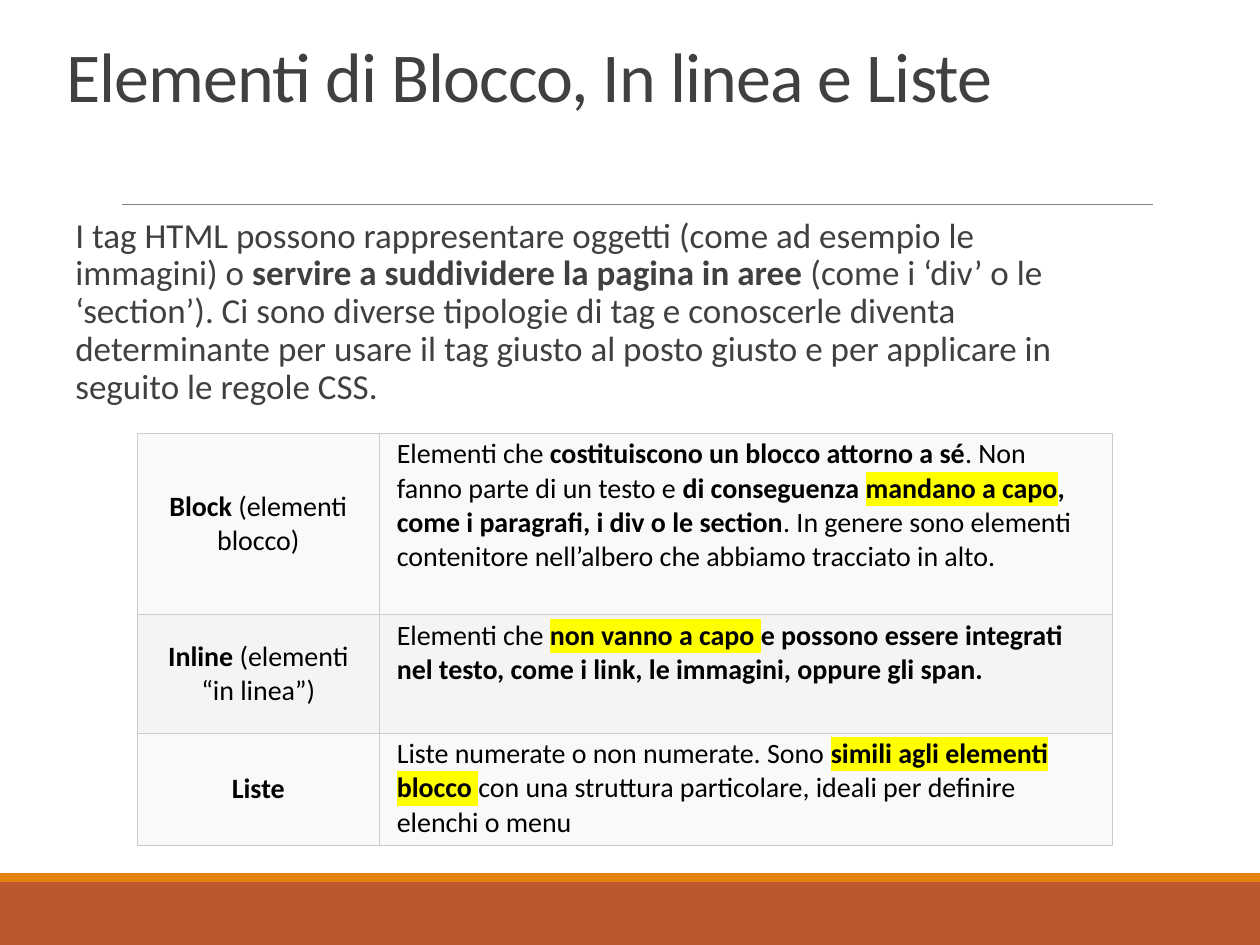
from dataclasses import dataclass

from lxml.etree import SubElement
from pptx import Presentation
from pptx.dml.color import RGBColor
from pptx.enum.shapes import MSO_CONNECTOR, MSO_SHAPE
from pptx.enum.text import MSO_ANCHOR as ANCHOR, PP_ALIGN as ALIGN
from pptx.oxml.ns import qn
from pptx.util import Inches, Pt

FONT = "Calibri"
TEXT = "404040"


@dataclass
class Run:
    text: str
    bold: bool = False
    highlight: bool = False


@dataclass
class Row:
    height: float
    fill: str
    label: list[Run]
    description: list[Run]


BODY = [
    Run("I tag HTML possono rappresentare oggetti (come ad esempio le immagini) o "),
    Run("servire a suddividere la pagina in aree ", True),
    Run("(come i ‘div’ o le ‘section’). Ci sono diverse tipologie di tag e conoscerle "
        "diventa determinante per usare il tag giusto al posto giusto e per applicare "
        "in seguito le regole CSS."),
]

ROWS = [
    Row(1.44, "F9F9F9",
        [Run("Block ", True), Run("(elementi blocco)")],
        [Run("Elementi che "),
         Run("costituiscono un blocco attorno a sé", True),
         Run(". Non fanno parte di un testo e "),
         Run("di conseguenza ", True),
         Run("mandano a capo", True, True),
         Run(", come i paragrafi, i div o le section", True),
         Run(". In genere sono elementi contenitore nell’albero che abbiamo "
             "tracciato in alto.")]),
    Row(0.94, "F4F4F4",
        [Run("Inline ", True), Run("(elementi “in linea”)")],
        [Run("Elementi che "),
         Run("non vanno a capo ", True, True),
         Run("e possono essere integrati nel testo, come i link, le immagini, "
             "oppure gli span.", True)]),
    Row(0.89, "F9F9F9",
        [Run("Liste", True)],
        [Run("Liste numerate o non numerate. Sono "),
         Run("simili agli elementi blocco ", True, True),
         Run("con una struttura particolare, ideali per definire elenchi o menu")]),
]


def rgb(color: str) -> RGBColor:
    return RGBColor.from_string(color)


def add_color(parent, tag: str, color: str) -> None:
    SubElement(SubElement(parent, qn(tag)), qn("a:srgbClr")).set("val", color)


def write(p, runs: list[Run], size: float, color: str) -> None:
    p.font.name, p.font.size = FONT, Pt(size)
    p.font.color.rgb = rgb(color)
    for run in runs:
        r = p.add_run()
        r.text, r.font.bold = run.text, run.bold
        if run.highlight:
            add_color(r.font._element, "a:highlight", "FFFF00")


def add_band(s, top: float, height: float, color: str) -> None:
    sp = s.shapes.add_shape(MSO_SHAPE.RECTANGLE, 0, Inches(top), Inches(10), Inches(height))
    sp.shadow.inherit = False
    sp.fill.solid()
    sp.fill.fore_color.rgb = rgb(color)
    sp.line.fill.background()


def add_rule(s) -> None:
    line = s.shapes.add_connector(
        MSO_CONNECTOR.STRAIGHT, Inches(0.97), Inches(1.62), Inches(9.15), Inches(1.62))
    line.line.color.rgb = rgb("808080")
    line.line.width = Pt(0.5)
    SubElement(line._element.spPr, qn("a:effectLst"))


def add_text(s, left: float, top: float, width: float, height: float,
             runs: list[Run], size: float, spacing: float):
    sp = s.shapes.add_textbox(Inches(left), Inches(top), Inches(width), Inches(height))
    tf = sp.text_frame
    tf.word_wrap = True
    p = tf.paragraphs[0]
    p.line_spacing = spacing
    write(p, runs, size, TEXT)
    return tf


def fill_cell(cell, runs: list[Run], fill: str) -> None:
    """Write a bordered, filled table cell."""
    cell.margin_left = cell.margin_right = Inches(0.14)
    cell.margin_top = cell.margin_bottom = Inches(0.03)
    tc_pr = cell._tc.get_or_add_tcPr()
    for side in ("a:lnL", "a:lnR", "a:lnT", "a:lnB"):
        border = SubElement(tc_pr, qn(side), w=str(Pt(0.75)))
        add_color(border, "a:solidFill", "CCCCCC")
    cell.fill.solid()
    cell.fill.fore_color.rgb = rgb(fill)
    write(cell.text_frame.paragraphs[0], runs, 16, "000000")


def add_tag_table(s) -> None:
    height = sum(row.height for row in ROWS)
    table = s.shapes.add_table(
        len(ROWS), 2, Inches(1.09), Inches(3.44), Inches(7.74), Inches(height)).table
    table.first_row = table.horz_banding = False
    for column, width in zip(table.columns, (1.92, 5.82)):
        column.width = Inches(width)
    for i, row in enumerate(ROWS):
        table.rows[i].height = Inches(row.height)
        label, description = table.cell(i, 0), table.cell(i, 1)
        fill_cell(label, row.label, row.fill)
        fill_cell(description, row.description, row.fill)
        label.vertical_anchor = ANCHOR.MIDDLE
        label.text_frame.paragraphs[0].alignment = ALIGN.CENTER


def main() -> None:
    prs = Presentation()
    prs.slide_width, prs.slide_height = Inches(10), Inches(7.5)
    s = prs.slides.add_slide(prs.slide_layouts[6])

    add_band(s, 7, 0.5, "BD582C")
    add_band(s, 6.93, 0.07, "E48312")
    add_rule(s)

    title = add_text(s, 0.43, 0.31, 9.06, 1.2,
                     [Run("Elementi di Blocco, In linea e Liste")], 40, 0.85)
    title.paragraphs[0].runs[0].font._element.set("spc", "-50")

    body = add_text(s, 0.5, 1.68, 8.33, 2.15, BODY, 20, 0.9)
    body.margin_right = 0
    p = body.paragraphs[0]
    p.space_before = p.space_after = Pt(2)

    add_tag_table(s)
    prs.save("out.pptx")


if __name__ == "__main__":
    main()
